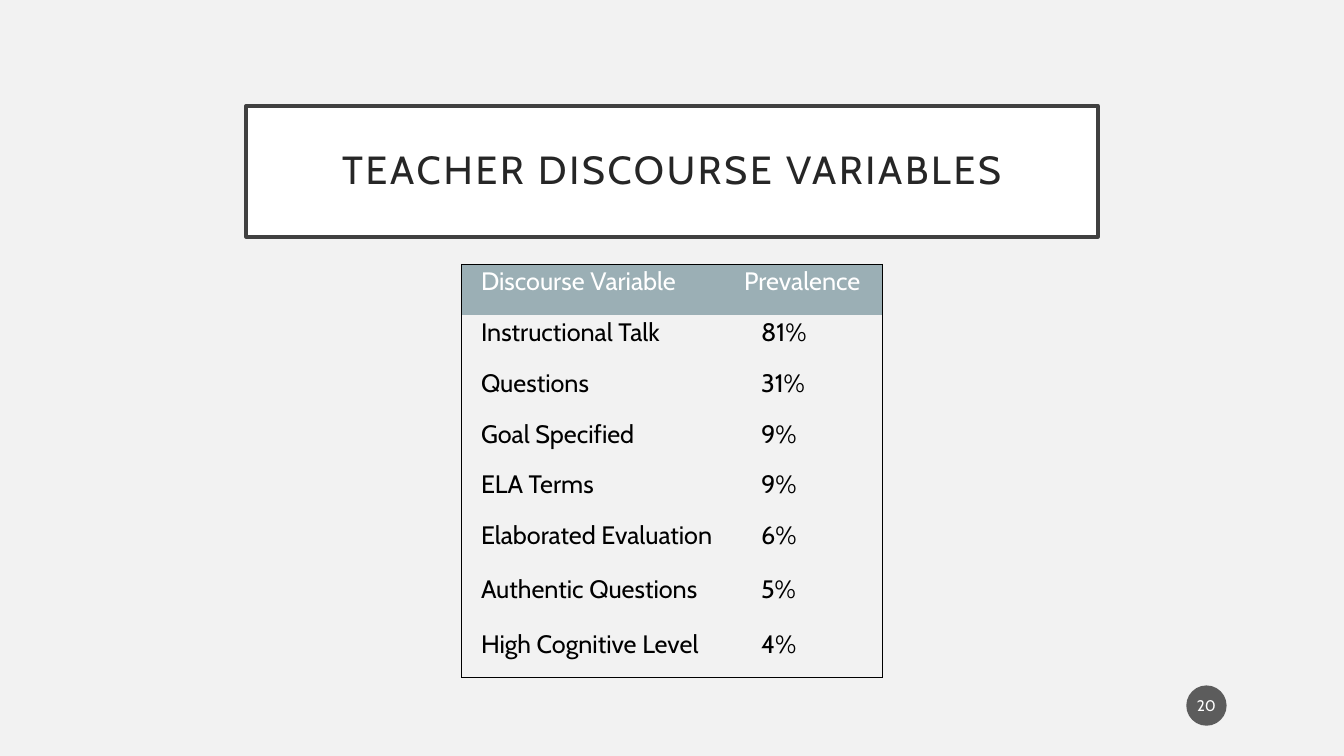
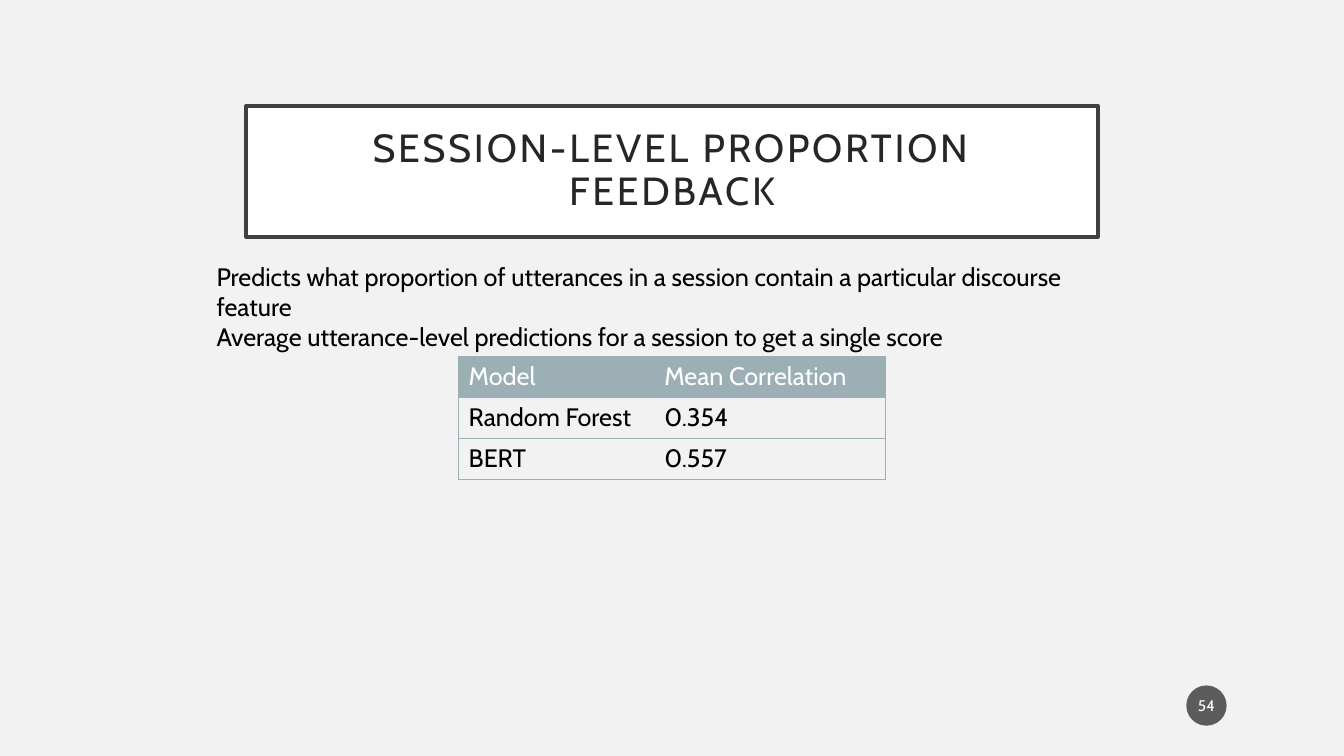
from lxml import etree
from pptx import Presentation
from pptx.dml.color import RGBColor
from pptx.enum.shapes import MSO_SHAPE
from pptx.enum.text import MSO_ANCHOR, MSO_AUTO_SIZE, PP_ALIGN
from pptx.oxml.ns import qn
from pptx.util import Pt

OVAL = MSO_SHAPE.OVAL
MIDDLE = MSO_ANCHOR.MIDDLE
CENTER = PP_ALIGN.CENTER
FIXED = MSO_AUTO_SIZE.NONE
GROW = MSO_AUTO_SIZE.SHAPE_TO_FIT_TEXT
TITLE_ONLY = 5

FONT = "Cabin"
PAPER, WHITE, BLACK = "F2F2F2", "FFFFFF", "000000"
FRAME, INK, TEAL, BADGE = "404040", "262626", "9BAFB5", "1D1D1D"

SHARES = [
    ("Discourse Variable", "Prevalence"),
    ("Instructional Talk", "81%"),
    ("Questions", "31%"),
    ("Goal Specified", "9%"),
    ("ELA Terms", "9%"),
    ("Elaborated Evaluation", "6%"),
    ("Authentic Questions", "5%"),
    ("High Cognitive Level", "4%"),
]
SCORES = [
    ("Model", "Mean Correlation"),
    ("Random Forest", "0.354"),
    ("BERT", "0.557"),
]
NOTES = [
    "Predicts what proportion of utterances in a session contain a particular discourse feature",
    "Average utterance-level predictions for a session to get a single score",
]


def paint(fill, color):
    fill.solid()
    fill.fore_color.rgb = RGBColor.from_string(color)


def write(para, text, size=18, color=BLACK):
    run = para.add_run()
    run.text = text
    run.font.name = FONT
    run.font.size = Pt(size)
    paint(run.font.fill, color)
    return run


def inset(box, left, top, right, bottom):
    """Set the inner margins of a text frame or a table cell."""
    box.margin_left, box.margin_top = Pt(left), Pt(top)
    box.margin_right, box.margin_bottom = Pt(right), Pt(bottom)


def add_title(slide, text):
    title = slide.shapes.title
    title.left, title.top = Pt(175.8), Pt(75.6)
    title.width, title.height = Pt(608.4), Pt(93.6)
    paint(title.fill, WHITE)
    paint(title.line.fill, FRAME)
    title.line.width = Pt(2.5)
    frame = title.text_frame
    frame.word_wrap = True
    frame.auto_size = FIXED
    frame.vertical_anchor = MIDDLE
    inset(frame, 14.4, 14.4, 14.4, 14.4)
    para = frame.paragraphs[0]
    para.alignment = CENTER
    para.line_spacing = 0.9
    run = write(para, text, 28, INK)
    run.font._element.set("spc", "200")


def add_badge(slide, number):
    """Draw the round page number."""
    badge = slide.shapes.add_shape(OVAL, Pt(847.4), Pt(489.6), Pt(28.8), Pt(28.8))
    badge.shadow.inherit = False
    badge.line.fill.background()
    paint(badge.fill, BADGE)
    tint = badge._element.spPr.find(".//" + qn("a:srgbClr"))
    etree.SubElement(tint, qn("a:alpha"), val="70000")
    frame = badge.text_frame
    frame.word_wrap = False
    frame.vertical_anchor = MIDDLE
    inset(frame, 1.4, 3.6, 1.4, 3.6)
    para = frame.paragraphs[0]
    para.alignment = CENTER
    write(para, str(number), 11, WHITE)


def add_text(slide, lines, left, top, width, height):
    box = slide.shapes.add_textbox(Pt(left), Pt(top), Pt(width), Pt(height))
    frame = box.text_frame
    frame.word_wrap = True
    frame.auto_size = GROW
    for i, line in enumerate(lines):
        para = frame.add_paragraph() if i else frame.paragraphs[0]
        write(para, line)


def set_edges(cell, color, shown):
    """Rule the sides in shown (letters of LRTB) and clear the others."""
    props = cell._tc.get_or_add_tcPr()
    for side in "LRTB":
        line = etree.SubElement(props, qn("a:ln" + side), w=str(Pt(0.5)))
        if side in shown:
            fill = etree.SubElement(line, qn("a:solidFill"))
            etree.SubElement(fill, qn("a:srgbClr"), val=color)
        else:
            etree.SubElement(line, qn("a:noFill"))


def add_grid(slide, rows, left, top, widths, heights, edge, ruled=False):
    """Add a framed table with a teal head; ruled adds lines between rows."""
    shape = slide.shapes.add_table(len(rows), len(widths), Pt(left), Pt(top),
                                   Pt(sum(widths)), Pt(sum(heights)))
    table = shape.table
    table.first_row = table.horz_banding = False
    for col, width in zip(table.columns, widths):
        col.width = Pt(width)
    for row, height in zip(table.rows, heights):
        row.height = Pt(height)
    for r, texts in enumerate(rows):
        for c, text in enumerate(texts):
            cell = table.cell(r, c)
            sides = {
                "L": c == 0,
                "R": c == len(widths) - 1,
                "T": ruled or r == 0,
                "B": ruled or r == len(rows) - 1,
            }
            set_edges(cell, edge, [s for s in sides if sides[s]])
            if r == 0:
                paint(cell.fill, TEAL)
            else:
                cell.fill.background()
            write(cell.text_frame.paragraphs[0], text,
                  color=BLACK if r else WHITE)
    return table


def tighten(table):
    """Use short lines, set in from the left, values further than heads."""
    for r, row in enumerate(table.rows):
        for c, cell in enumerate(row.cells):
            cell.vertical_anchor = MIDDLE
            inset(cell, 26 if r and c else 14, 1.4, 1.4, 1.4)
            cell.text_frame.paragraphs[0].line_spacing = Pt(11)


def add_page(deck, title, number):
    slide = deck.slides.add_slide(deck.slide_layouts[TITLE_ONLY])
    add_title(slide, title)
    add_badge(slide, number)
    return slide


def main():
    deck = Presentation()
    deck.slide_width, deck.slide_height = Pt(960), Pt(540)
    paint(deck.slide_master.background.fill, PAPER)

    slide = add_page(deck, "TEACHER DISCOURSE VARIABLES", 20)
    heights = [36.2] * 6 + [41.8, 36.2]
    tighten(add_grid(slide, SHARES, 329.6, 188.8, [188, 112.6], heights, BLACK))

    slide = add_page(deck, "SESSION-LEVEL PROPORTION FEEDBACK", 54)
    add_text(slide, NOTES, 147.6, 183, 665.3, 51)
    add_grid(slide, SCORES, 327.6, 254.7, [139.7, 165.3], [29.2] * 3, TEAL, True)

    deck.save("out.pptx")


if __name__ == "__main__":
    main()
